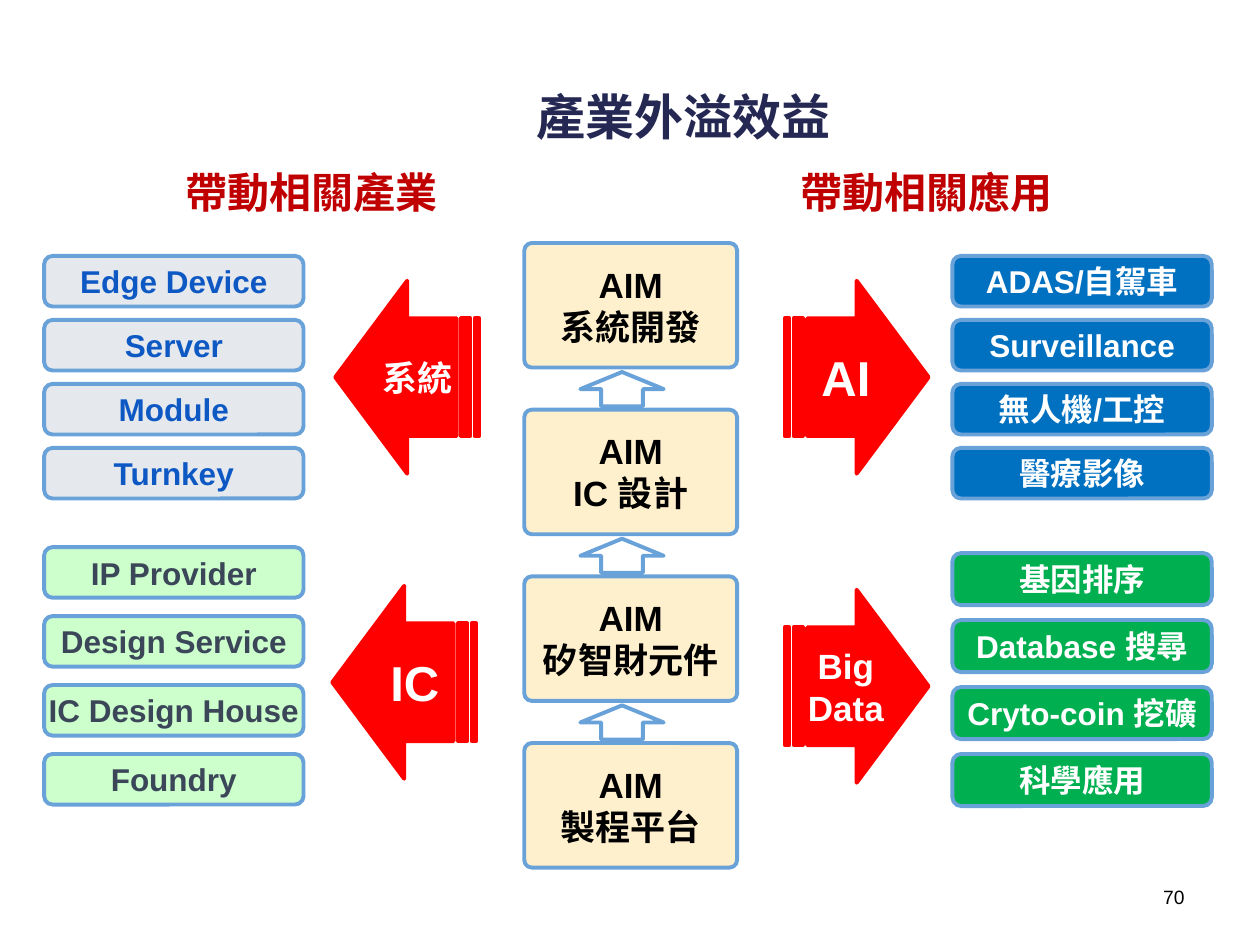
from pptx import Presentation
from pptx import util as u
from pptx.dml.color import RGBColor
from pptx.enum import shapes, text

COLORS = {
    "title": "242852", "heading": "C00000", "outline": "69A2D8",
    "stage": "FFF0CD", "arrow": "FF0000", "black": "000000", "white": "FFFFFF",
    "grey": "E5E9EE", "blue text": "0E58C4", "mint": "CCFFCC",
    "slate": "3B4759", "blue": "0070C0", "green": "00B050",
}
SHAPE = shapes.MSO_SHAPE
CENTER = text.PP_ALIGN.CENTER


def rgb(name):
    return RGBColor.from_string(COLORS[name])


def write(frame, lines, size, color, align, bold=True):
    frame.text = lines
    for paragraph in frame.paragraphs:
        paragraph.alignment = align
        font = paragraph.font
        font.name, font.size, font.bold = "Arial", u.Pt(size), bold
        font.color.rgb = rgb(color)


def place(item, left, top, width, height):
    item.left, item.top = u.Cm(left), u.Cm(top)
    item.width, item.height = u.Cm(width), u.Cm(height)


def add_block(slide, kind, box, fill, outline="outline", label="", size=18, color="white"):
    block = slide.shapes.add_shape(kind, *[u.Cm(length) for length in box])
    block.shadow.inherit = False
    block.fill.solid()
    block.fill.fore_color.rgb = rgb(fill)
    block.line.color.rgb = rgb(outline)
    block.line.width = u.Pt(2.25)
    if label:
        frame = block.text_frame
        frame.word_wrap = True
        frame.vertical_anchor = text.MSO_ANCHOR.MIDDLE
        frame.margin_left = frame.margin_right = 0
        frame.margin_top = frame.margin_bottom = 0
        write(frame, label, size, color, CENTER)
    return block


def add_column(slide, left, top, pitch, height, fill, color, labels):
    for row, label in enumerate(labels):
        add_block(slide, SHAPE.ROUNDED_RECTANGLE, (left, top + row * pitch, 5.23, height),
                  fill, label=label, color=color)


def add_stages(slide, labels):
    for row, label in enumerate(labels):
        top = 4.9 + row * 3.36
        stage = add_block(slide, SHAPE.ROUNDED_RECTANGLE, (10.57, top, 4.29, 2.51),
                          "stage", label=label, size=20, color="black")
        stage.adjustments[0] = 0.06
        if row < len(labels) - 1:
            add_block(slide, SHAPE.UP_ARROW, (11.7, top + 2.6, 1.68, 0.69), "white")


def add_striped_arrow(slide, left, top, label, size, points_left):
    arrow = add_block(slide, SHAPE.STRIPED_RIGHT_ARROW, (left, top, 2.9, 3.89),
                      "arrow", "arrow", label, size)
    arrow.adjustments[0] = 0.61
    arrow.adjustments[1] = 0.5
    if points_left:
        arrow.element.spPr.xfrm.set("flipH", "1")


def add_heading(slide, left, label):
    heading = slide.shapes.add_textbox(u.Cm(left), u.Cm(3.23), u.Cm(5.64), u.Cm(1.27))
    frame = heading.text_frame
    frame.word_wrap = False
    frame.auto_size = text.MSO_AUTO_SIZE.SHAPE_TO_FIT_TEXT
    write(frame, label, 24, "heading", text.PP_ALIGN.LEFT)


def main():
    deck = Presentation()
    deck.slide_width, deck.slide_height = u.Cm(25.4), u.Cm(19.05)
    slide = deck.slides.add_slide(deck.slide_layouts[5])

    # Title, page number and side headings
    title = slide.shapes.title
    place(title, 3.43, 1.55, 20.7, 1.57)
    title.text_frame.vertical_anchor = text.MSO_ANCHOR.MIDDLE
    write(title.text_frame, "產業外溢效益", 28, "title", CENTER)
    page = slide.shapes.add_textbox(u.Cm(18.21), u.Cm(17.73), u.Cm(5.92), u.Cm(0.94))
    page.text_frame.word_wrap = True
    write(page.text_frame, "70", 11, "black", text.PP_ALIGN.RIGHT, bold=False)
    add_heading(slide, 3.5, "帶動相關產業")
    add_heading(slide, 15.88, "帶動相關應用")

    # AIM stages, built from the bottom up
    add_stages(slide, ["AIM\n系統開發", "AIM\nIC 設計", "AIM\n矽智財元件", "AIM\n製程平台"])

    # Arrows towards industries and applications
    for left, top, label, size, points_left in [
        (6.76, 5.66, "系統", 20, True),
        (6.7, 11.81, "IC", 28, True),
        (15.82, 5.66, "AI", 28, False),
        (15.82, 11.89, "Big Data", 20, False),
    ]:
        add_striped_arrow(slide, left, top, label, size, points_left)

    # Related industries
    add_column(slide, 0.89, 5.16, 1.29, 1.02, "grey", "blue text",
               ["Edge Device", "Server", "Module", "Turnkey"])
    add_column(slide, 0.89, 11.03, 1.39, 1.02, "mint", "slate",
               ["IP Provider", "Design Service", "IC Design House", "Foundry"])

    # Related applications
    add_column(slide, 19.2, 5.16, 1.29, 1.02, "blue", "white",
               ["ADAS/自駕車", "Surveillance", "無人機/工控", "醫療影像"])
    add_column(slide, 19.2, 11.15, 1.35, 1.05, "green", "white",
               ["基因排序", "Database 搜尋", "Cryto-coin 挖礦", "科學應用"])

    deck.save("out.pptx")


if __name__ == "__main__":
    main()
